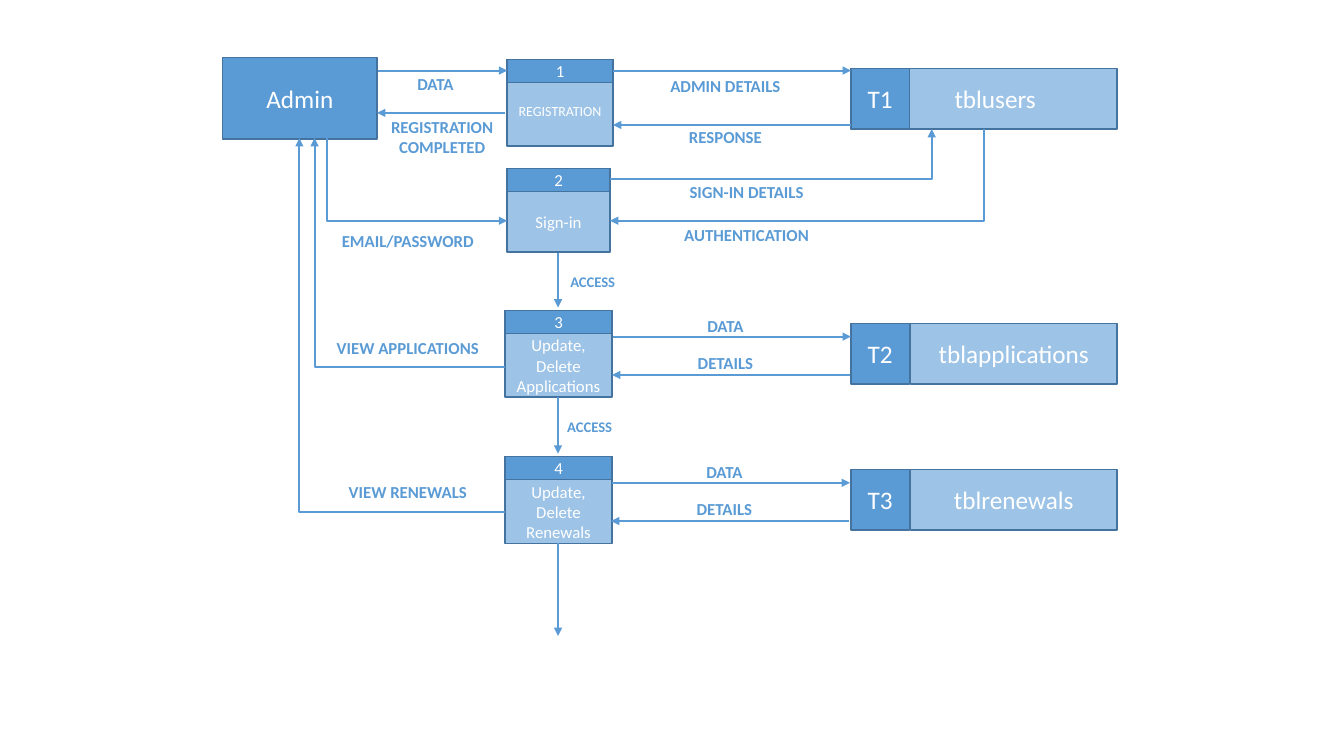
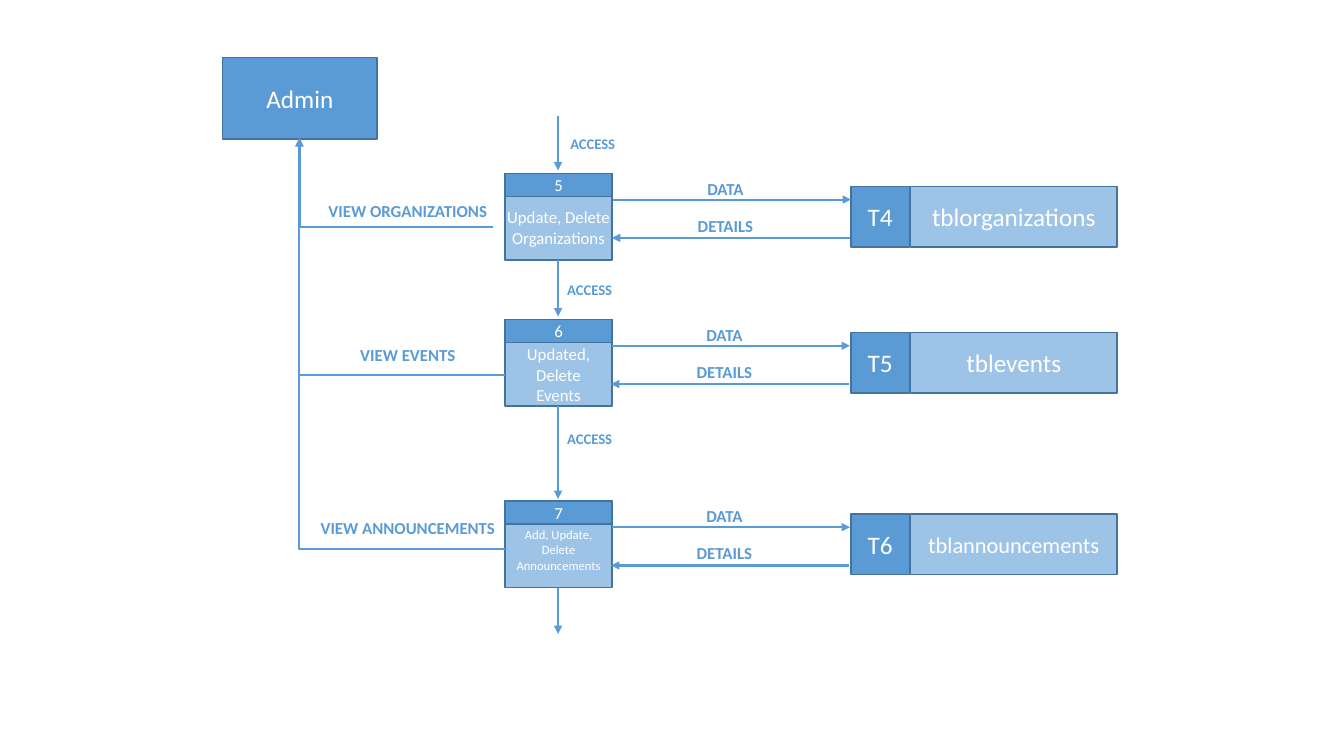
from lxml.etree import SubElement
from pptx import Presentation
from pptx.dml.color import RGBColor
from pptx.enum.shapes import MSO_CONNECTOR, MSO_SHAPE
from pptx.enum.text import MSO_ANCHOR, PP_ALIGN
from pptx.oxml.ns import qn
from pptx.util import Inches, Pt

COLORS = {"strong": "5B9BD5", "soft": "9DC3E6", "edge": "43739E", "white": "FFFFFF"}
FONT = "Calibri"
HEADER_HEIGHT = 0.23
CARD_LEFT, CARD_WIDTH, CARD_HEIGHT = 5.01, 1.06, 0.86
STORE_LEFT, STORE_WIDTH, STORE_HEIGHT, CODE_WIDTH = 8.44, 2.64, 0.6, 0.58
LABEL_WIDTH, LABEL_HEIGHT = 2.01, 0.3
TRUNK = 5.535
ADMIN_BOX = (2.21, 0.57, 1.53, 0.81)
ADMIN_BOTTOM = 1.37


def color(name):
    """Return the named palette colour."""
    return RGBColor.from_string(COLORS[name])


def apply_format(target, values):
    """Set every attribute in a dict of format values."""
    for name, value in values.items():
        setattr(target, name, value)


def write(frame, text, size, font_color="white", bold=False,
          alignment=PP_ALIGN.CENTER, **frame_values):
    """Write one formatted paragraph into a text frame."""
    apply_format(frame, {"word_wrap": True, **frame_values})
    paragraph = frame.paragraphs[0]
    paragraph.alignment = alignment
    run = paragraph.add_run()
    run.text = text
    apply_format(run.font, {"name": FONT, "size": Pt(size), "bold": bold})
    run.font.color.rgb = color(font_color)


def panel(slide, box, fill, text, size, **frame_values):
    """Draw an outlined rectangle with centred text."""
    shape = slide.shapes.add_shape(MSO_SHAPE.RECTANGLE, *map(Inches, box))
    shape.shadow.inherit = False
    shape.fill.solid()
    shape.fill.fore_color.rgb = color(fill)
    shape.line.color.rgb = color("edge")
    shape.line.width = Pt(1)
    write(shape.text_frame, text, size, vertical_anchor=MSO_ANCHOR.MIDDLE, **frame_values)


def label(slide, text, left, top, width=LABEL_WIDTH, height=LABEL_HEIGHT,
          size=12, alignment=PP_ALIGN.CENTER):
    """Place a bold flow label."""
    text_box = slide.shapes.add_textbox(*map(Inches, (left, top, width, height)))
    write(text_box.text_frame, text, size, "strong", True, alignment)


def arrow(slide, *points):
    """Draw an arrow through the points, bent where there are more than two."""
    corners = [(Inches(x), Inches(y)) for x, y in points]
    if len(corners) == 2:
        shape = slide.shapes.add_connector(MSO_CONNECTOR.STRAIGHT, *corners[0], *corners[1])
        SubElement(shape._element.spPr, qn("a:effectLst"))
    else:
        builder = slide.shapes.build_freeform(*corners[0])
        builder.add_line_segments(corners[1:], close=False)
        shape = builder.convert_to_shape()
        shape.fill.background()
        shape.shadow.inherit = False
    shape.line.color.rgb = color("strong")
    shape.line.width = Pt(1.5)
    SubElement(shape.line._get_or_add_ln(), qn("a:tailEnd"), type="triangle")


def admin(slide):
    """Draw the Admin entity."""
    panel(slide, ADMIN_BOX, "strong", "Admin", 18)


def card(slide, box, number, text, size=12, inset=0.1, lift=0):
    """Draw a numbered process; lift raises its text."""
    left, top, width, height = box
    panel(slide, box, "soft", text, size,
          margin_left=Inches(inset), margin_right=Inches(inset),
          margin_top=Inches(HEADER_HEIGHT), margin_bottom=Inches(2 * lift))
    panel(slide, (left, top, width, HEADER_HEIGHT), "strong", number, 12,
          margin_top=0, margin_bottom=0)


def store(slide, top, code, name, size=18, name_offset=0.59, inset=0.1):
    """Draw a data store with its code and table name."""
    panel(slide, (STORE_LEFT + name_offset, top, STORE_WIDTH - name_offset, STORE_HEIGHT),
          "soft", name, size, margin_left=Inches(inset))
    panel(slide, (STORE_LEFT, top, CODE_WIDTH, STORE_HEIGHT), "strong", code, 18)


def exchange(slide, top, shift):
    """Draw the data and details flows between a process and its store."""
    right = STORE_LEFT - shift
    arrow(slide, (6.08 - shift, top + 0.26), (right, top + 0.26))
    arrow(slide, (right - 0.01, top + 0.64), (6.07 - shift, top + 0.64))
    label(slide, "DATA", 6.19 - shift, top)
    label(slide, "DETAILS", 6.19 - shift, top + 0.37)


def view(slide, text, level, label_top, trunk=2.97, start=CARD_LEFT):
    """Draw a view flow from a process back to Admin."""
    arrow(slide, (start, level), (trunk, level), (trunk, ADMIN_BOTTOM))
    label(slide, text, 3.04, label_top)


def access(slide, top, bottom, text_left=None, text_top=None):
    """Draw a downward access flow, labelled where a place is given."""
    arrow(slide, (TRUNK, top), (TRUNK, bottom))
    if text_left is not None:
        label(slide, "ACCESS", text_left, text_top, size=10.5, alignment=PP_ALIGN.RIGHT)


def maintenance_row(slide, top, process, table, shift=0.01):
    """Draw a process, its store and the flows between them."""
    card(slide, (CARD_LEFT, top, CARD_WIDTH, CARD_HEIGHT), **process)
    store(slide, top + 0.13, **table)
    exchange(slide, top, shift)


def sign_in_section(slide):
    """Draw registration and sign-in with the users table."""
    card(slide, (5.03, 0.59, 1.05, 0.86), "1", "REGISTRATION", size=10, lift=0.03)
    card(slide, (5.03, 1.67, 1.02, 0.83), "2", "Sign-in")
    store(slide, 0.68, "T1", "tblusers", name_offset=0, inset=0.32)
    for points in (
        ((3.75, 0.7), (5.03, 0.7)),
        ((5.01, 1.12), (3.74, 1.12)),
        ((3.24, ADMIN_BOTTOM), (3.24, 2.19), (5.03, 2.19)),
        ((6.08, 0.7), (8.44, 0.7)),
        ((8.44, 1.24), (6.08, 1.24)),
        ((6.05, 1.78), (9.24, 1.78), (9.24, 1.28)),
        ((9.76, 1.28), (9.76, 2.19), (6.05, 2.19)),
    ):
        arrow(slide, *points)
    label(slide, "DATA", 4.04, 0.68, width=0.88, alignment=PP_ALIGN.LEFT)
    label(slide, "REGISTRATION COMPLETED", 3.74, 1.11, width=1.29, height=0.5)
    for text, left, top in (
        ("EMAIL/PASSWORD", 3.04, 2.24),
        ("ADMIN DETAILS", 6.19, 0.7),
        ("RESPONSE", 6.19, 1.21),
        ("SIGN-IN DETAILS", 6.4, 1.75),
        ("AUTHENTICATION", 6.4, 2.18),
    ):
        label(slide, text, left, top)


def account_slide(slide):
    """Build the slide for sign-in, applications and renewals."""
    admin(slide)
    sign_in_section(slide)
    maintenance_row(slide, 3.08, {"number": "3", "text": "Update, Delete Applications"},
                    {"code": "T2", "name": "tblapplications"}, shift=0)
    maintenance_row(slide, 4.53, {"number": "4", "text": "Update, Delete Renewals"},
                    {"code": "T3", "name": "tblrenewals"})
    view(slide, "VIEW APPLICATIONS", 3.64, 3.3, trunk=3.12)
    view(slide, "VIEW RENEWALS", 5.08, 4.73)
    access(slide, 2.51, 3.05, 4.19, 2.66)
    access(slide, 3.94, 4.5, 4.16, 4.1)
    access(slide, 5.39, 6.31)


def content_slide(slide):
    """Build the slide for organizations, events and announcements."""
    admin(slide)
    maintenance_row(slide, 1.72,
                    {"number": "5", "text": "Update, Delete Organizations",
                     "inset": 0, "lift": 0.01},
                    {"code": "T4", "name": "tblorganizations"}, shift=0)
    maintenance_row(slide, 3.17, {"number": "6", "text": "Updated, Delete Events"},
                    {"code": "T5", "name": "tblevents"})
    maintenance_row(slide, 4.97,
                    {"number": "7", "text": "Add, Update, Delete Announcements",
                     "size": 9, "lift": 0.06},
                    {"code": "T6", "name": "tblannouncements", "size": 16})
    view(slide, "VIEW ORGANIZATIONS", 2.25, 1.94, start=4.89)
    view(slide, "VIEW EVENTS", 3.72, 3.37)
    view(slide, "VIEW ANNOUNCEMENTS", 5.45, 5.09)
    access(slide, 1.15, 1.69, 4.19, 1.29)
    access(slide, 2.58, 3.14, 4.16, 2.74)
    access(slide, 4.03, 4.95, 4.16, 4.22)
    access(slide, 5.83, 6.29)


def main():
    """Build and save the presentation."""
    presentation = Presentation()
    apply_format(presentation, {"slide_width": Inches(13.33), "slide_height": Inches(7.5)})
    for build in (account_slide, content_slide):
        build(presentation.slides.add_slide(presentation.slide_layouts[6]))
    presentation.save("out.pptx")


main()
